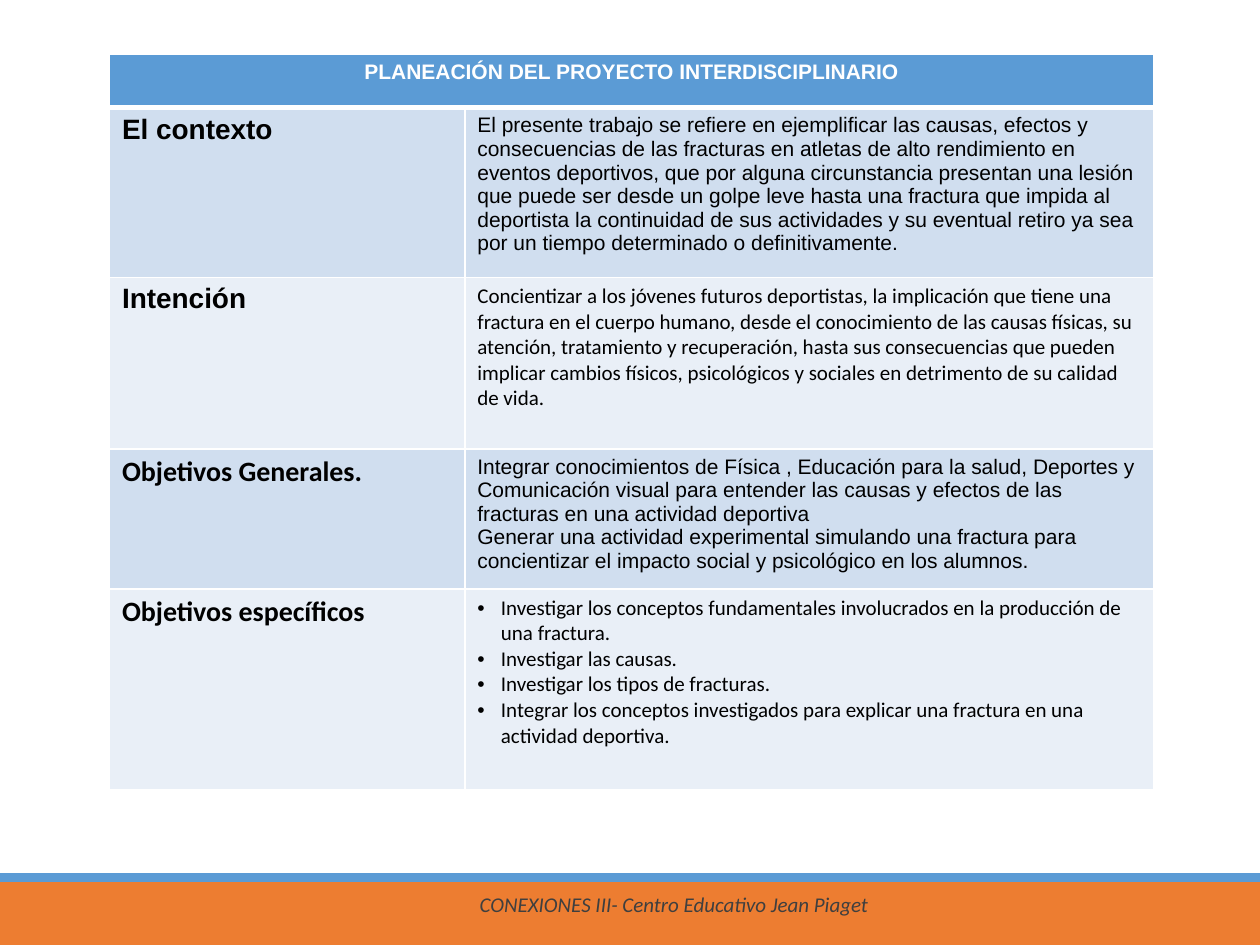
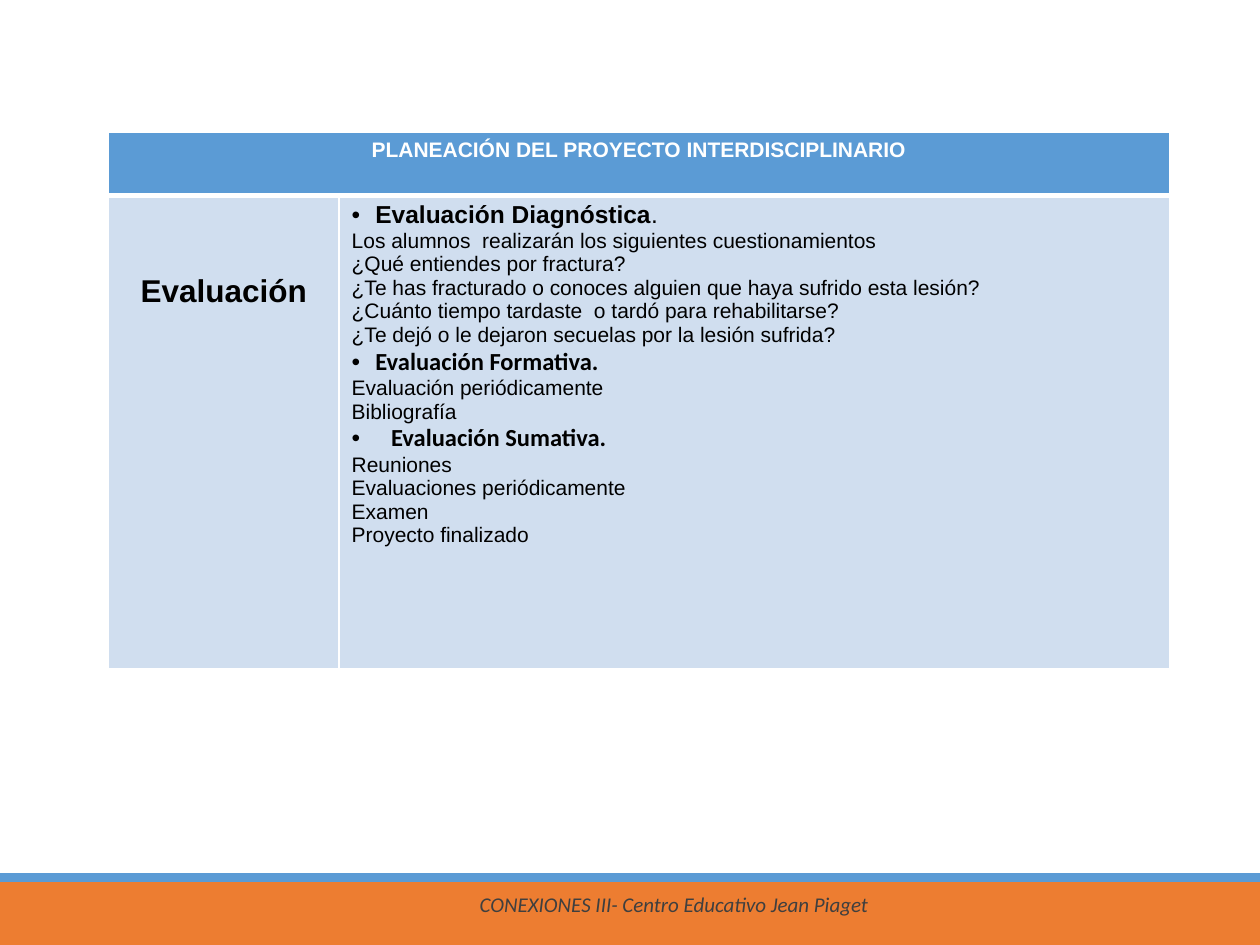
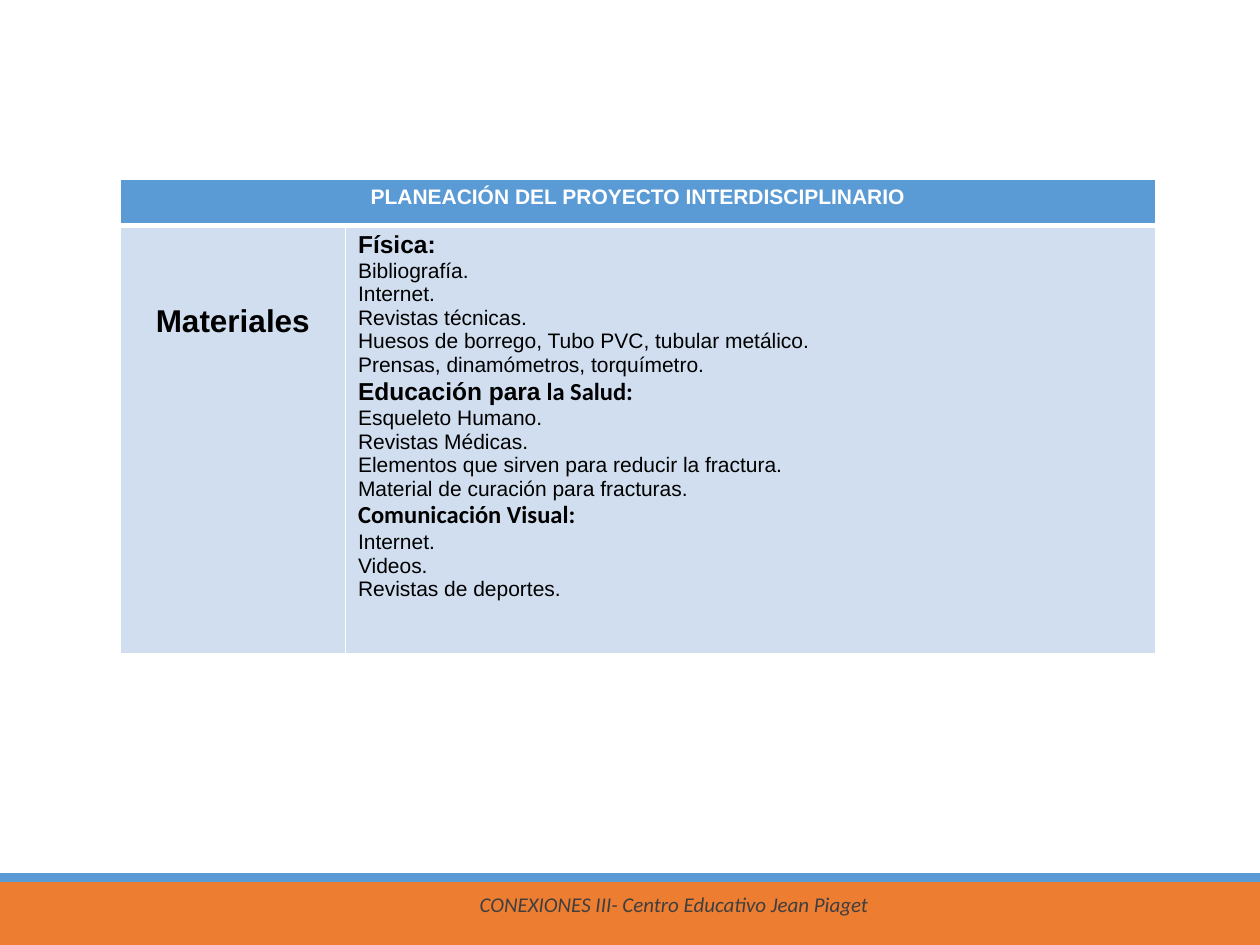
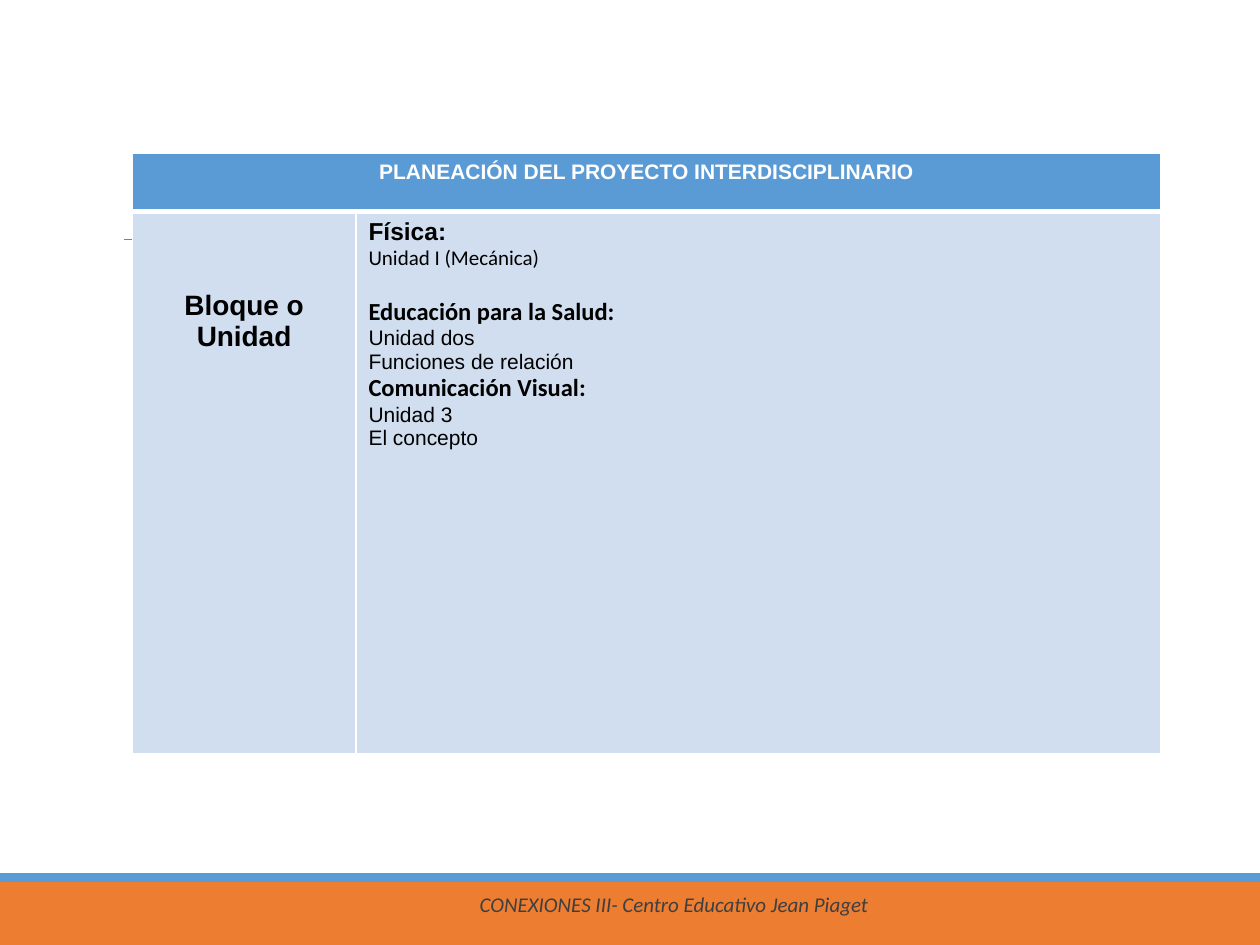
import pptx
import pptx.dml.color
import pptx.enum.shapes
import pptx.enum.text
import pptx.util
from lxml import etree
from pptx.oxml.ns import qn

Pt = pptx.util.Pt
CENTER = pptx.enum.text.PP_ALIGN.CENTER
LEFT = pptx.enum.text.PP_ALIGN.LEFT

# Shared look
SLIDE_WIDTH, SLIDE_HEIGHT = 720, 540
BLUE, ORANGE, WHITE, BLACK = "5B9BD5", "ED7D31", "FFFFFF", "000000"
GREY, FOOTER_GREY = "7F7F7F", "3F3F3F"
ROW_FILLS = ("D0DEEF", "E9EFF7")
BANDS = [(504, 36, ORANGE), (499, 5, BLUE)]  # top, height, colour
RULE_LEFT, RULE_RIGHT, RULE_TOP = 70.6, 658.8, 136.8
HEADING = "PLANEACIÓN DEL PROYECTO INTERDISCIPLINARIO"
FOOTER = "CONEXIONES III- Centro Educativo Jean Piaget"

# Style: font, size, bold
STYLES = {
    "title": ("Arial", 12, True),
    "body": ("Arial", 12, False),
    "body calibri": ("Calibri", 12, False),
    "subject": ("Arial", 14, True),
    "subject plain": ("Arial", 14, False),
    "subject calibri": ("Calibri", 14, True),
    "label": ("Arial", 16, True),
    "label calibri": ("Calibri", 16, True),
    "big label": ("Arial", 18, True),
}
BULLET, WIDE_BULLET = {"indent": 13.5}, {"indent": 22.5}

# Each row: label style, label, paragraphs of (runs, options); a run is (style, text)
SLIDES = [
    {
        "at": (62.6, 31), "columns": (203, 393.8), "heights": (30.5, 97, 98, 80, 115),
        "label align": LEFT, "label top": 3.6,
        "rows": [
            ("label", "El contexto", [
                ([("body", "El presente trabajo se refiere en ejemplificar las causas, efectos y "
                   "consecuencias de las fracturas en atletas de alto rendimiento en eventos "
                   "deportivos, que por alguna circunstancia presentan una lesión que puede ser "
                   "desde un golpe leve hasta una fractura que impida al deportista la continuidad "
                   "de sus actividades y su eventual retiro ya sea por un tiempo determinado o "
                   "definitivamente.")], {}),
            ]),
            ("label", "Intención", [
                ([("body calibri", "Concientizar a los jóvenes futuros deportistas, la implicación "
                   "que tiene una fractura en el cuerpo humano, desde el conocimiento de las causas "
                   "físicas, su atención, tratamiento y recuperación, hasta sus consecuencias que "
                   "pueden implicar cambios físicos, psicológicos y sociales en detrimento de su "
                   "calidad de vida.")], {}),
            ]),
            ("label calibri", "Objetivos Generales.", [
                ([("body", "Integrar conocimientos de Física , Educación para la salud, Deportes y "
                   "Comunicación visual para entender las causas y efectos de las fracturas en una "
                   "actividad deportiva")], {}),
                ([("body", "Generar una actividad experimental simulando una fractura para "
                   "concientizar el impacto social y psicológico en los alumnos.")], {}),
            ]),
            ("label calibri", "Objetivos específicos", [
                ([("body calibri", "Investigar los conceptos fundamentales involucrados en la "
                   "producción de una fractura.")], BULLET),
                ([("body calibri", "Investigar las causas.")], BULLET),
                ([("body calibri", "Investigar los tipos de fracturas.")], BULLET),
                ([("body calibri", "Integrar los conceptos investigados para explicar una fractura "
                   "en una actividad deportiva.")], BULLET),
            ]),
        ],
    },
    {
        "at": (62, 75.6), "columns": (131.8, 474.5), "heights": (36, 270.7),
        "label align": CENTER, "label top": 45,
        "rows": [
            ("big label", "Evaluación", [
                ([("subject", "Evaluación Diagnóstica"), ("subject plain", ".")], BULLET),
                ([("body", "Los alumnos  realizarán los siguientes cuestionamientos")], {}),
                ([("body", "¿Qué entiendes por fractura?")], {}),
                ([("body", "¿Te has fracturado o conoces alguien que haya sufrido esta lesión?")], {}),
                ([("body", "¿Cuánto tiempo tardaste  o tardó para rehabilitarse?")], {}),
                ([("body", "¿Te dejó o le dejaron secuelas por la lesión sufrida?")], {}),
                ([("subject calibri", "Evaluación Formativa.")], BULLET),
                ([("body", "Evaluación periódicamente")], {}),
                ([("body", "Bibliografía")], {}),
                ([("subject calibri", "Evaluación Sumativa.")], WIDE_BULLET),
                ([("body", "Reuniones")], {}),
                ([("body", "Evaluaciones periódicamente")], {}),
                ([("body", "Examen")], {}),
                ([("body", "Proyecto finalizado")], {}),
            ]),
        ],
    },
    {
        "at": (68.7, 102.4), "columns": (128.7, 463), "heights": (26.4, 245),
        "label align": CENTER, "label top": 45,
        "rows": [
            ("big label", "Materiales", [
                ([("subject", "Física:")], {}),
                ([("body", "Bibliografía.")], {}),
                ([("body", "Internet.")], {}),
                ([("body", "Revistas técnicas.")], {}),
                ([("body", "Huesos de borrego, Tubo PVC, tubular metálico.")], {}),
                ([("body", "Prensas, dinamómetros, torquímetro.")], {}),
                ([("subject", "Educación para"), ("subject calibri", " la Salud:")], {}),
                ([("body", "Esqueleto Humano.")], {}),
                ([("body", "Revistas Médicas.")], {}),
                ([("body", "Elementos que sirven para reducir la fractura.")], {}),
                ([("body", "Material de curación para fracturas.")], {}),
                ([("subject calibri", "Comunicación Visual:")], {}),
                ([("body", "Internet.")], {}),
                ([("body", "Videos.")], {}),
                ([("body", "Revistas de deportes.")], {}),
            ]),
        ],
    },
    {
        "at": (75.6, 87.8), "columns": (127.8, 460), "heights": (33.2, 309.6),
        "label align": CENTER, "label top": 45,
        "rows": [
            ("label", "Bloque o Unidad", [
                ([("subject", "Física:")], {}),
                ([("body calibri", "Unidad I (Mecánica)")], {}),
                ([("subject calibri", "Educación para la Salud:")], {"before": 14.6}),
                ([("body", "Unidad dos")], {}),
                ([("body", "Funciones de relación")], {}),
                ([("subject calibri", "Comunicación Visual:")], {}),
                ([("body", "Unidad 3")], {}),
                ([("body", "El concepto")], {}),
            ]),
        ],
    },
]


def rgb(color):
    return pptx.dml.color.RGBColor.from_string(color)


def add_bullet(paragraph, indent):
    properties = paragraph._p.get_or_add_pPr()
    properties.set("marL", str(Pt(indent)))
    properties.set("indent", str(-Pt(indent)))
    color = etree.SubElement(properties, qn("a:buClr"))
    etree.SubElement(color, qn("a:srgbClr"), val=BLACK)
    etree.SubElement(properties, qn("a:buFont"), typeface="Arial")
    etree.SubElement(properties, qn("a:buChar"), char="•")


def write(paragraph, runs, color=BLACK, align=LEFT, indent=0, before=0):
    if indent:
        add_bullet(paragraph, indent)
    paragraph.alignment = align
    if before:
        paragraph.space_before = Pt(before)
    for style, text in runs:
        run = paragraph.add_run()
        run.text = text
        font = run.font
        font.name, size, font.bold = STYLES[style]
        font.size = Pt(size)
        font.color.rgb = rgb(color)


def paint_cell(cell, fill, top_width, bottom_width):
    cell.fill.solid()
    cell.fill.fore_color.rgb = rgb(fill)
    properties = cell._tc.get_or_add_tcPr()
    borders = [("a:lnL", 1), ("a:lnR", 1), ("a:lnT", top_width), ("a:lnB", bottom_width)]
    for place, (side, width) in enumerate(borders):
        border = etree.Element(qn(side), w=str(Pt(width)))
        solid = etree.SubElement(border, qn("a:solidFill"))
        etree.SubElement(solid, qn("a:srgbClr"), val=WHITE)
        properties.insert(place, border)


def add_bands(slide):
    for top, height, color in BANDS:
        band = slide.shapes.add_shape(pptx.enum.shapes.MSO_SHAPE.RECTANGLE,
                                      0, Pt(top), Pt(SLIDE_WIDTH), Pt(height))
        band.shadow.inherit = False
        band.fill.solid()
        band.fill.fore_color.rgb = rgb(color)
        band.line.fill.background()


def add_rule(slide):
    rule = slide.shapes.add_connector(pptx.enum.shapes.MSO_CONNECTOR.STRAIGHT, Pt(RULE_LEFT),
                                      Pt(RULE_TOP), Pt(RULE_RIGHT), Pt(RULE_TOP))
    rule.line.color.rgb = rgb(GREY)
    rule.line.width = Pt(0.75)
    etree.SubElement(rule._element.spPr, qn("a:effectLst"))


def add_plan(slide, plan):
    left, top = plan["at"]
    columns, heights = plan["columns"], plan["heights"]
    table = slide.shapes.add_table(len(heights), len(columns), Pt(left), Pt(top),
                                   Pt(sum(columns)), Pt(sum(heights))).table
    table.horz_banding = False
    for column, width in zip(table.columns, columns):
        column.width = Pt(width)
    for row, height in zip(table.rows, heights):
        row.height = Pt(height)

    # Heading across both columns
    for cell in table.rows[0].cells:
        paint_cell(cell, BLUE, 1, 3)
    heading = table.cell(0, 0)
    heading.merge(table.cell(0, 1))
    write(heading.text_frame.paragraphs[0], [("title", HEADING)], WHITE, CENTER)

    # Label on the left, its details on the right
    for number, (style, label, details) in enumerate(plan["rows"], 1):
        label_cell, detail_cell = table.cell(number, 0), table.cell(number, 1)
        for cell in (label_cell, detail_cell):
            paint_cell(cell, ROW_FILLS[(number - 1) % 2], 3 if number == 1 else 1, 1)
        label_cell.margin_top = Pt(plan["label top"])
        write(label_cell.text_frame.paragraphs[0], [(style, label)], align=plan["label align"])
        frame = detail_cell.text_frame
        for place, (runs, options) in enumerate(details):
            paragraph = frame.add_paragraph() if place else frame.paragraphs[0]
            write(paragraph, runs, **options)


def add_footer(slide):
    frame = slide.shapes.add_textbox(Pt(218.2), Pt(496), Pt(334), Pt(31.7)).text_frame
    frame.word_wrap = True
    frame.vertical_anchor = pptx.enum.text.MSO_ANCHOR.BOTTOM
    paragraph = frame.paragraphs[0]
    paragraph.line_spacing = 0.85
    write(paragraph, [("body calibri", FOOTER)], FOOTER_GREY, CENTER)
    paragraph.runs[0].font.italic = True


def main():
    deck = pptx.Presentation()
    deck.slide_width, deck.slide_height = Pt(SLIDE_WIDTH), Pt(SLIDE_HEIGHT)
    for plan in SLIDES:
        slide = deck.slides.add_slide(deck.slide_layouts[6])
        add_bands(slide)
        # The rule only shows where the table starts to its right
        if plan["at"][0] > RULE_LEFT:
            add_rule(slide)
        add_plan(slide, plan)
        add_footer(slide)
    deck.save("out.pptx")


if __name__ == "__main__":
    main()
